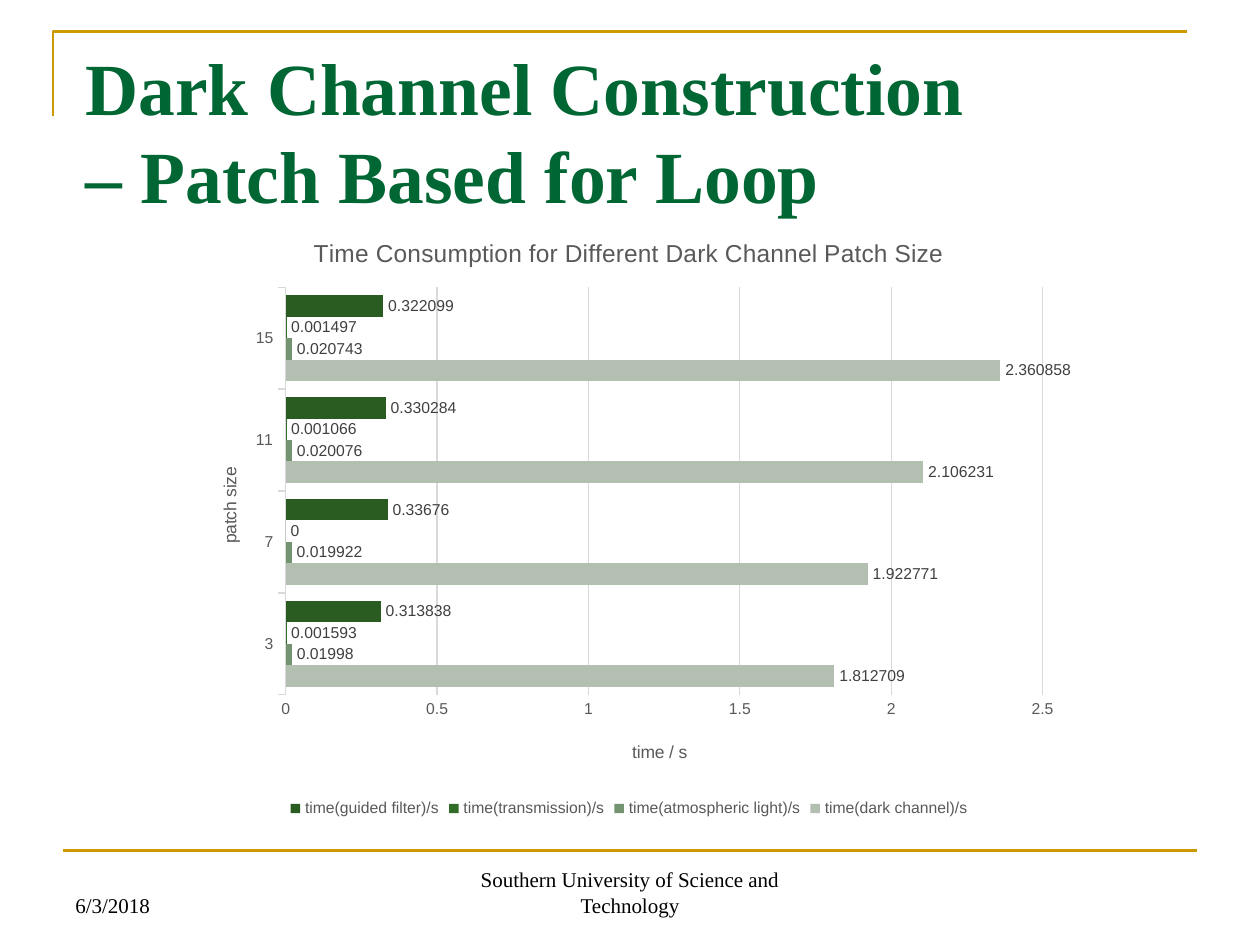
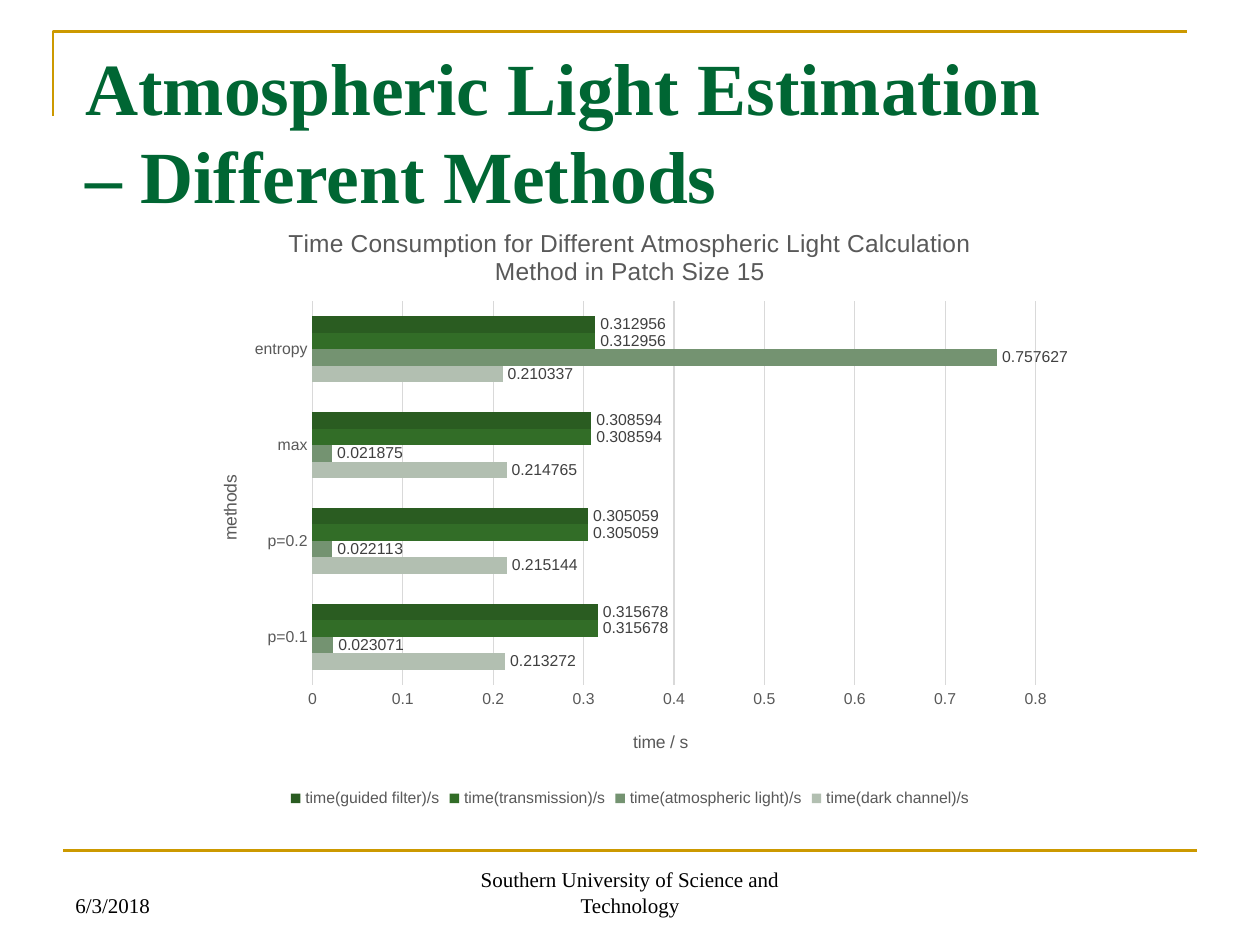
"""Build two slides comparing dehazing run times as clustered bar charts."""
from lxml import etree
from pptx import Presentation
from pptx import util as u
from pptx.chart import data
from pptx.dml import color
from pptx.enum import chart as charts, shapes, text
from pptx.oxml import ns

COLOURS = {"gold": "CC9900", "title": "006633", "ink": "000000", "label": "404040",
           "axis": "595959", "grid": "D9D9D9"}
SERIES = {"time(dark channel)/s": "B2BFB1", "time(atmospheric light)/s": "749371",
          "time(transmission)/s": "326D27", "time(guided filter)/s": "2A5C21"}
SERIF, SANS = "Times New Roman", "Arial"
FOOTERS = [(0.5, 2.33, "6/3/2018", text.PP_ALIGN.LEFT),
           (3.34, 3.32, "Southern University of Science and Technology", text.PP_ALIGN.CENTER)]

SLIDES = [
    dict(
        heading=["Dark Channel Construction", "– Patch Based for Loop"],
        chart=dict(
            title="Time Consumption for Different Dark Channel Patch Size",
            top=1.7, gap=75, tick=charts.XL_TICK_MARK.OUTSIDE, maximum=2.5, unit=0.5,
            plot=dict(x=0.11, y=0.12, w=0.86, h=0.67),
            category_title="patch size", category_title_top=0.41,
            categories=["3", "7", "11", "15"],
            values=[(1.812709, 1.922771, 2.106231, 2.360858),
                    (0.01998, 0.019922, 0.020076, 0.020743),
                    (0.001593, 0, 0.001066, 0.001497),
                    (0.313838, 0.33676, 0.330284, 0.322099)])),
    dict(
        heading=["Atmospheric Light Estimation", "– Different Methods"],
        chart=dict(
            title="Time Consumption for Different Atmospheric Light Calculation "
                  "Method in Patch Size 15",
            top=1.62, gap=182, tick=charts.XL_TICK_MARK.NONE, maximum=0.8, unit=0.1,
            plot=dict(x=0.14, y=0.16, w=0.82, h=0.63),
            category_title="methods", category_title_top=0.44,
            categories=["p=0.1", "p=0.2", "max", "entropy"],
            values=[(0.213272, 0.215144, 0.214765, 0.210337),
                    (0.023071, 0.022113, 0.021875, 0.757627),
                    (0.315678, 0.305059, 0.308594, 0.312956),
                    (0.315678, 0.305059, 0.308594, 0.312956)])),
]


def rgb(name):
    """Return the colour for a palette name or a hex string."""
    return color.RGBColor.from_string(COLOURS.get(name, name))


def place(element, index, inner=False, **fractions):
    """Give a chart part a manual layout in fractions of the chart."""
    for old in element.findall(ns.qn("c:layout")):
        element.remove(old)
    layout = etree.Element(ns.qn("c:layout"))
    manual = etree.SubElement(layout, ns.qn("c:manualLayout"))
    settings = {"layoutTarget": "inner"} if inner else {}
    settings.update(xMode="edge", yMode="edge", **fractions)
    for key, value in settings.items():
        etree.SubElement(manual, ns.qn("c:" + key)).set("val", str(value))
    element.insert(index, layout)


class Deck:
    """Hold the shared style and the current slide."""

    def __init__(self):
        """Start an empty 4:3 presentation."""
        self.presentation = Presentation()
        self.presentation.slide_width = u.Inches(10)
        self.presentation.slide_height = u.Inches(7.5)
        self.slide = None

    def style(self, font, name, size, colour, bold=False):
        """Set face, size, colour and weight of a font."""
        font.name, font.size, font.bold = name, u.Pt(size), bold
        font.color.rgb = rgb(colour)

    def stroke(self, line, colour, width):
        """Set colour and width of a line."""
        line.color.rgb = rgb(colour)
        line.width = u.Pt(width)

    def add_slide(self):
        """Start a slide with its frame and footers."""
        self.slide = self.presentation.slides.add_slide(self.presentation.slide_layouts[6])
        self.corner()
        self.rule(0.5, 9.5, 6.75)
        for left, width, words, align in FOOTERS:
            self.text_box((left, 6.83, width, 0.5), [words], 12, "ink",
                          anchor=text.MSO_ANCHOR.BOTTOM, align=align)

    def corner(self):
        """Draw the open corner line around the title."""
        builder = self.slide.shapes.build_freeform(
            u.Inches(0.42), u.Inches(0.92), scale=1.0)
        builder.add_line_segments([(u.Inches(0.42), u.Inches(0.25)),
                                   (u.Inches(9.42), u.Inches(0.25))], close=False)
        shape = builder.convert_to_shape()
        shape.shadow.inherit = False
        shape.fill.background()
        self.stroke(shape.line, "gold", 1.5)

    def rule(self, left, right, top):
        """Draw a horizontal rule."""
        connector = self.slide.shapes.add_connector(
            shapes.MSO_CONNECTOR.STRAIGHT,
            u.Inches(left), u.Inches(top), u.Inches(right), u.Inches(top))
        self.stroke(connector.line, "gold", 1.5)
        etree.SubElement(connector._element.spPr, ns.qn("a:effectLst"))

    def text_box(self, box, lines, size, colour, bold=False,
                 anchor=text.MSO_ANCHOR.MIDDLE, align=text.PP_ALIGN.LEFT):
        """Add a wrapped text box with line breaks between lines."""
        frame = self.slide.shapes.add_textbox(*map(u.Inches, box)).text_frame
        frame.word_wrap = True
        frame.vertical_anchor = anchor
        paragraph = frame.paragraphs[0]
        paragraph.alignment = align
        for number, line in enumerate(lines):
            if number:
                paragraph.add_line_break()
            run = paragraph.add_run()
            run.text = line
            self.style(run.font, SERIF, size, colour, bold)

    def heading(self, lines):
        """Add the slide title."""
        self.text_box((0.58, 0.31, 9, 1.45), lines, 42, "title", bold=True)

    def chart_text(self, holder, words, size):
        """Write a chart title or an axis title."""
        run = holder.text_frame.paragraphs[0].add_run()
        run.text = words
        self.style(run.font, SANS, size, "axis")

    def axis(self, axis, title, tick, left, top):
        """Style an axis and place its title."""
        axis.major_tick_mark, axis.minor_tick_mark = tick, charts.XL_TICK_MARK.NONE
        self.style(axis.tick_labels.font, SANS, 9, "axis")
        self.chart_text(axis.axis_title, title, 10)
        place(axis.axis_title._element, 1, x=left, y=top)

    def bar_chart(self, title, top, gap, tick, maximum, unit, plot, category_title,
                  category_title_top, categories, values):
        """Add a clustered bar chart with value labels."""
        chart_data = data.CategoryChartData()
        chart_data.categories = categories
        for name, numbers in zip(SERIES, values):
            chart_data.add_series(name, numbers)
        chart = self.slide.shapes.add_chart(
            charts.XL_CHART_TYPE.BAR_CLUSTERED, u.Inches(1.5), u.Inches(top),
            u.Inches(7), u.Inches(4.83), chart_data).chart
        self.style(chart.font, SANS, 10, "ink")
        self.chart_text(chart.chart_title, title, 14)
        chart.chart_title.include_in_layout = False

        chart.has_legend = True
        chart.legend.position = charts.XL_LEGEND_POSITION.BOTTOM
        chart.legend.include_in_layout = False
        self.style(chart.legend.font, SANS, 9, "axis")

        bars = chart.plots[0]
        bars.gap_width, bars.overlap, bars.vary_by_categories = gap, 0, False
        for series, colour in zip(bars.series, SERIES.values()):
            series.format.fill.solid()
            series.format.fill.fore_color.rgb = rgb(colour)
            series.invert_if_negative = False
        bars.has_data_labels = True
        bars.data_labels.show_value = True
        bars.data_labels.position = charts.XL_LABEL_POSITION.OUTSIDE_END
        self.style(bars.data_labels.font, SANS, 9, "label")

        category_axis, value_axis = chart.category_axis, chart.value_axis
        self.axis(category_axis, category_title, tick, 0.03, category_title_top)
        body = category_axis.axis_title._element.find(".//" + ns.qn("a:bodyPr"))
        body.set("rot", "-5400000")
        body.set("vert", "horz")
        self.stroke(category_axis.format.line, "grid", 0.75)

        self.axis(value_axis, "time / s", charts.XL_TICK_MARK.NONE, 0.5, 0.86)
        value_axis.minimum_scale, value_axis.maximum_scale = 0, maximum
        value_axis.major_unit = unit
        value_axis.format.line.fill.background()
        self.stroke(value_axis.major_gridlines.format.line, "grid", 0.75)
        plot_area = chart._chartSpace.find(".//" + ns.qn("c:plotArea"))
        place(plot_area, 0, inner=True, **plot)


def main():
    """Build and save the slides."""
    deck = Deck()
    for content in SLIDES:
        deck.add_slide()
        deck.heading(content["heading"])
        deck.bar_chart(**content["chart"])
    deck.presentation.save("out.pptx")


if __name__ == "__main__":
    main()
